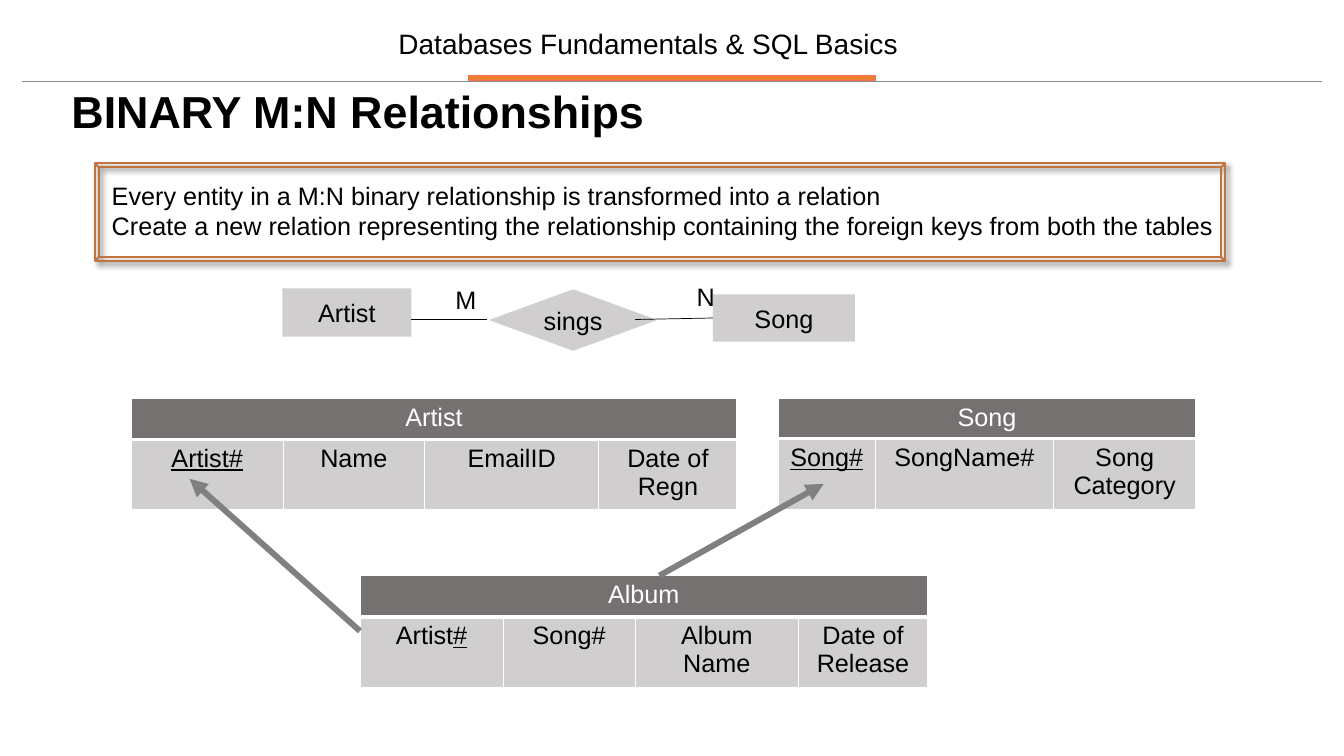
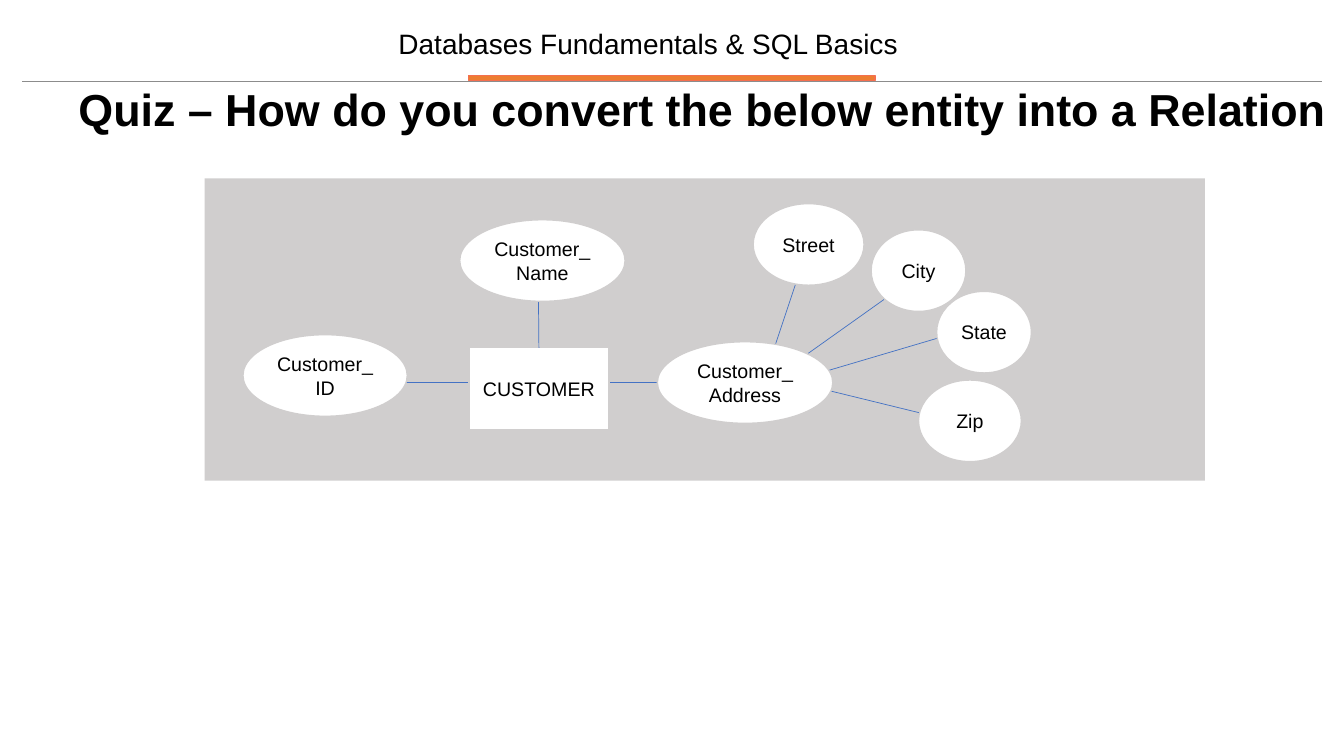
from dataclasses import dataclass
from typing import NamedTuple

from pptx import Presentation
from pptx.dml.color import RGBColor
from pptx.enum.shapes import MSO_CONNECTOR, MSO_SHAPE
from pptx.enum.text import MSO_ANCHOR, PP_ALIGN
from pptx.oxml import parse_xml
from pptx.oxml.ns import nsdecls
from pptx.oxml.xmlchemy import OxmlElement
from pptx.util import Pt

EMU_PER_PX = 9144
TOP, LEFT = 0, 1


@dataclass(frozen=True)
class Theme:
    font: str = "Arial"
    ink: str = "000000"
    paper: str = "FFFFFF"
    panel: str = "D0CECE"
    table_head: str = "767171"
    rule: str = "8C8C8C"
    accent: str = "ED7D31"
    accent_edge: str = "F46F4F"
    frame: str = "C2743F"
    arrow: str = "808080"
    link: str = "4472C4"
    title_size: int = 32
    course_size: int = 20
    body_size: int = 18
    attribute_size: int = 14


class Run(NamedTuple):
    text: str
    underline: bool = False


def px(length):
    return int(length * EMU_PER_PX)


def rgb(code):
    return RGBColor.from_string(code)


class Deck:
    def __init__(self, theme):
        self.theme = theme
        self.presentation = Presentation()
        self.presentation.slide_width = px(1333)
        self.presentation.slide_height = px(750)
        self.slide = None

    def new_slide(self, title, left, top):
        theme = self.theme
        self.slide = self.presentation.slides.add_slide(self.presentation.slide_layouts[6])
        self.line((22, 81), (1311, 81), theme.rule, 0.75)
        self.shape(MSO_SHAPE.RECTANGLE, (465, 75, 403, 5), theme.accent, theme.accent_edge)
        self.text((375, 26, 536, 38), ["Databases Fundamentals & SQL Basics"],
                  theme.course_size, align=PP_ALIGN.CENTER, anchor=MSO_ANCHOR.MIDDLE,
                  spacing=0.9)
        self.text((left, top, 1333 - left, 78), [title], theme.title_size, bold=True,
                  spacing=0.9)

    def add_runs(self, frame, paragraphs, size, color=None, align=PP_ALIGN.LEFT,
                 bold=False, spacing=None):
        frame.word_wrap = True
        for index, content in enumerate(paragraphs):
            paragraph = frame.paragraphs[0] if index == 0 else frame.add_paragraph()
            paragraph.alignment = align
            if spacing:
                paragraph.line_spacing = spacing
            for part in [Run(content)] if isinstance(content, str) else content:
                run = paragraph.add_run()
                run.text = part.text
                run.font.name = self.theme.font
                run.font.size = Pt(size)
                run.font.bold = bold
                run.font.underline = part.underline
                run.font.color.rgb = rgb(color or self.theme.ink)

    def text(self, box, paragraphs, size, anchor=MSO_ANCHOR.TOP, **style):
        frame = self.slide.shapes.add_textbox(*map(px, box)).text_frame
        frame.vertical_anchor = anchor
        self.add_runs(frame, paragraphs, size, **style)

    def shape(self, kind, box, fill=None, edge=None, edge_width=1, paragraphs=(), size=18):
        shape = self.slide.shapes.add_shape(kind, *map(px, box))
        shape.shadow.inherit = False
        if fill:
            shape.fill.solid()
            shape.fill.fore_color.rgb = rgb(fill)
        else:
            shape.fill.background()
        if edge:
            shape.line.color.rgb = rgb(edge)
            shape.line.width = Pt(edge_width)
        else:
            shape.line.fill.background()
        shape.text_frame.vertical_anchor = MSO_ANCHOR.MIDDLE
        self.add_runs(shape.text_frame, paragraphs, size, align=PP_ALIGN.CENTER)
        return shape

    def entity(self, kind, box, label):
        return self.shape(kind, box, self.theme.panel, paragraphs=[label],
                          size=self.theme.body_size)

    def attribute(self, kind, box, *lines):
        return self.shape(kind, box, self.theme.paper, self.theme.panel,
                          paragraphs=lines, size=self.theme.attribute_size)

    def framed_note(self, box):
        frame = self.shape(MSO_SHAPE.BEVEL, box, edge=self.theme.frame, edge_width=1.5)
        frame.adjustments[0] = 0.04
        effects = frame._element.spPr.find("{*}effectLst")
        effects.append(parse_xml(
            f'<a:outerShdw {nsdecls("a")} blurRad="{Pt(4)}" dist="{Pt(3)}" '
            f'dir="{45 * 60000}" algn="tl" rotWithShape="0"><a:srgbClr val="{self.theme.ink}">'
            '<a:alpha val="40000"/></a:srgbClr></a:outerShdw>'))

    def line(self, start, end, color, width, arrow=False):
        connector = self.slide.shapes.add_connector(
            MSO_CONNECTOR.STRAIGHT, *map(px, (*start, *end)))
        connector.line.color.rgb = rgb(color)
        connector.line.width = Pt(width)
        if arrow:
            head = OxmlElement("a:tailEnd")
            head.set("type", "triangle")
            connector.get_or_add_ln().append(head)
        connector._element.spPr.append(OxmlElement("a:effectLst"))
        return connector

    def border(self, cell, bottom):
        for side in "LRTB":
            width = Pt(bottom if side == "B" else 1)
            cell._tc.get_or_add_tcPr().append(parse_xml(
                f'<a:ln{side} {nsdecls("a")} w="{width}"><a:solidFill>'
                f'<a:srgbClr val="{self.theme.paper}"/></a:solidFill></a:ln{side}>'))

    def relation(self, left, top, name, columns, row_heights):
        theme = self.theme
        widths = [width for width, _ in columns]
        table = self.slide.shapes.add_table(
            2, len(columns), px(left), px(top), px(sum(widths)), px(sum(row_heights))).table
        for row, height in zip(table.rows, row_heights):
            row.height = px(height)
        for column, width in zip(table.columns, widths):
            column.width = px(width)
        for row_index, (fill, bottom) in enumerate([(theme.table_head, 3), (theme.panel, 1)]):
            for cell in table.rows[row_index].cells:
                self.border(cell, bottom)
                cell.fill.solid()
                cell.fill.fore_color.rgb = rgb(fill)
        table.cell(0, 0).merge(table.cell(0, len(columns) - 1))
        self.add_runs(table.cell(0, 0).text_frame, [name], theme.body_size, theme.paper,
                      PP_ALIGN.CENTER)
        for index, (_, field) in enumerate(columns):
            self.add_runs(table.cell(1, index).text_frame, [field], theme.body_size,
                          align=PP_ALIGN.CENTER)


def build_relationships(deck):
    theme = deck.theme
    deck.new_slide("BINARY M:N Relationships", 61, 84)
    deck.framed_note((94, 162, 1121, 97))
    deck.text((101, 174, 1138, 71), [
        "Every entity in a M:N binary relationship is transformed into a relation",
        "Create a new relation representing the relationship containing the foreign keys "
        "from both the tables",
    ], theme.body_size)

    deck.entity(MSO_SHAPE.FLOWCHART_DECISION, (485, 287, 167, 61), "sings")
    song = deck.entity(MSO_SHAPE.RECTANGLE, (707, 292, 141, 47), "Song")
    deck.entity(MSO_SHAPE.RECTANGLE, (280, 286, 128, 48), "Artist")
    deck.line((408, 317), (483, 317), theme.ink, 0.5)
    deck.line((630, 317), (707, 317), theme.ink, 0.5).end_connect(song, LEFT)
    for cardinality, box in [("M", (433, 277, 58, 40)), ("N", (681, 274, 38, 40))]:
        deck.text(box, [cardinality], theme.body_size, align=PP_ALIGN.CENTER)

    deck.relation(357, 571, "Album", [
        (142, [Run("Artist"), Run("#", True)]), (131, "Song#"),
        (162, "Album Name"), (128, "Date of Release")], (41, 65))
    deck.relation(772, 395, "Song", [
        (96, [Run("Song#", True)]), (177, "SongName#"), (141, "Song Category")], (37, 65))
    deck.relation(130, 395, "Artist", [
        (151, [Run("Artist#", True)]), (140, "Name"),
        (173, "EmailID"), (137, "Date of Regn")], (41, 65))
    for foreign_key, primary_key in [((357, 626), (188, 475)), ((654, 571), (817, 480))]:
        deck.line(foreign_key, primary_key, theme.arrow, 4.25, arrow=True)


def build_quiz(deck):
    theme = deck.theme
    deck.new_slide("Quiz – How do you convert the below entity into a Relation", 68, 82)
    deck.shape(MSO_SHAPE.RECTANGLE, (203, 177, 992, 300), theme.panel)
    links = [
        ((935, 334), (820, 368)), ((918, 411), (820, 387)), ((792, 273), (768, 345)),
        ((877, 297), (801, 351)), ((474, 379), (389, 379)), ((669, 379), (604, 379)),
    ]
    for start, end in links:
        deck.line(start, end, theme.link, 0.5)
    customer = deck.attribute(MSO_SHAPE.RECTANGLE, (465, 345, 139, 81), "CUSTOMER")
    deck.line((534, 287), (534, 345), theme.link, 0.5).end_connect(customer, TOP)
    attributes = [
        (456, 218, 164, ["Customer_Name"]),
        (241, 332, 163, ["Customer_", "ID"]),
        (652, 339, 174, ["Customer_ Address"]),
        (864, 228, 94, ["City"]),
        (911, 377, 102, ["Zip"]),
        (929, 289, 94, ["State"]),
        (747, 202, 110, ["Street"]),
    ]
    for left, top, width, lines in attributes:
        deck.attribute(MSO_SHAPE.OVAL, (left, top, width, 81), *lines)


def main():
    deck = Deck(Theme())
    build_relationships(deck)
    build_quiz(deck)
    deck.presentation.save("out.pptx")


if __name__ == "__main__":
    main()
